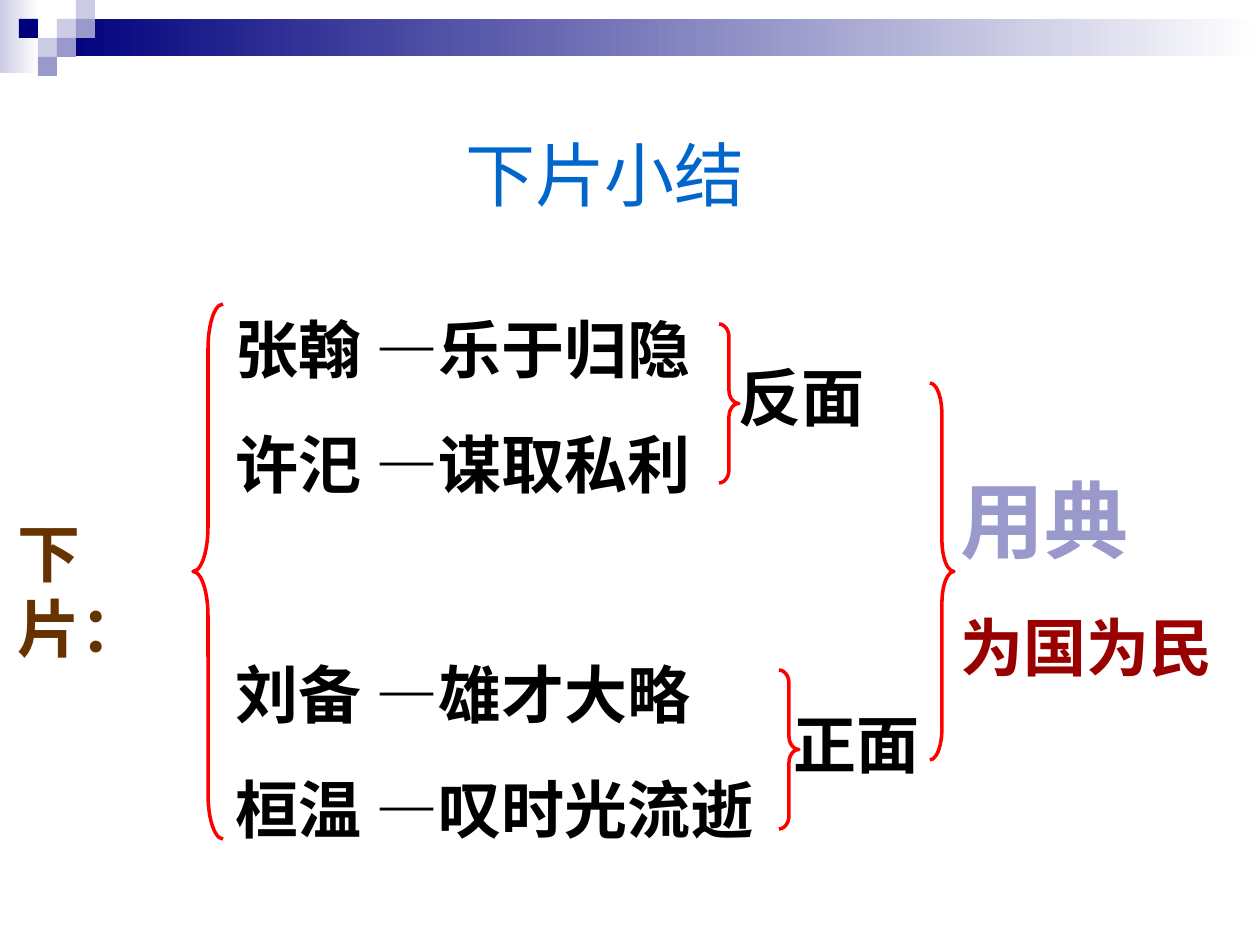
from lxml import etree
from pptx import Presentation
from pptx.dml.color import RGBColor
from pptx.enum.shapes import MSO_SHAPE
from pptx.enum.text import PP_ALIGN
from pptx.oxml.ns import qn
from pptx.util import Emu, Pt

RECT = MSO_SHAPE.RECTANGLE
LEFT_BRACE = MSO_SHAPE.LEFT_BRACE
RIGHT_BRACE = MSO_SHAPE.RIGHT_BRACE
LEFT, CENTER = PP_ALIGN.LEFT, PP_ALIGN.CENTER
PX = 914400 // 126
SANS, SANS_JP, SERIF, ARIAL = "Noto Sans CJK SC", "Noto Sans CJK JP", "Times New Roman", "Arial"
EAST_ASIAN = {SANS: SANS, SANS_JP: SANS_JP, SERIF: SANS, ARIAL: SANS}

COLORS = {
    "navy": "00007D", "lilac": "9999CC", "pale": "CCCCE6", "white": "FFFFFF",
    "blue": "0066CC", "brown": "663300", "black": "000000", "maroon": "990000",
    "red": "FF0000",
}

BANDS = [((0, 0, 39, 73), "pale"), ((57, 19, 1203, 37), "navy")]
TILE = 19
TILES = [
    (3, 1, "pale"), (4, 0, "pale"), (4, 1, "lilac"), (2, 2, "pale"),
    (1, 1, "navy"), (3, 2, "lilac"), (2, 3, "lilac"),
]

BRACES = [
    (LEFT_BRACE, (193, 304, 30, 535), 1.48),
    (RIGHT_BRACE, (930, 383, 24, 377), 1.32),
    (RIGHT_BRACE, (719, 324, 20, 159), 0.66),
    (RIGHT_BRACE, (779, 670, 20, 159), 0.66),
]

FIGURES = [
    ("张翰", "乐于归隐", 0), ("许汜", "谋取私利", 22.5),
    ("刘备", "雄才大略", 88.2), ("桓温", "叹时光流逝", 22.5),
]
FIGURE_LINES = [
    ([(name + " ", SANS), ("—", SERIF), (trait, SANS)], 36, "black", True, gap)
    for name, trait, gap in FIGURES
]
TEXTS = [
    ((441, 125, 328, 96), False, CENTER, [([("下片小结", SANS)], 40, "blue", False, 0)]),
    ((5, 508, 189, 139), True, LEFT, [([("下片：", SERIF)], 36, "brown", True, 0)]),
    ((223, 304, 645, 548), True, LEFT, FIGURE_LINES),
    ((948, 462, 282, 229), True, LEFT, [
        ([("用典", SANS_JP)], 48, "lilac", True, 0),
        ([("为国为民", SANS_JP)], 36, "maroon", True, 22.5),
    ]),
    ((781, 699, 151, 88), False, LEFT, [([("正面", ARIAL)], 36, "black", True, 0)]),
    ((726, 352, 151, 88), False, LEFT, [([("反面", ARIAL)], 36, "black", True, 0)]),
]


def color(name):
    return RGBColor.from_string(COLORS[name])


def scaled(frame):
    return [Emu(value * PX) for value in frame]


def add_plain(page, kind, frame):
    shape = page.shapes.add_shape(kind, *scaled(frame))
    shape.shadow.inherit = False
    return shape


def add_block(page, frame, fill, fades=False):
    shape = add_plain(page, RECT, frame)
    shape.line.fill.background()
    if fades:
        shape.fill.gradient()
        shape.fill.gradient_angle = 0
        for stop, name in zip(shape.fill.gradient_stops, (fill, "white")):
            stop.color.rgb = color(name)
    else:
        shape.fill.solid()
        shape.fill.fore_color.rgb = color(fill)


def add_brace(page, kind, frame, curve):
    brace = add_plain(page, kind, frame)
    brace.adjustments[0] = curve
    brace.fill.background()
    brace.line.color.rgb = color("red")
    brace.line.width = Pt(2)


def set_typeface(font, properties, name):
    font.name = name
    east_asian = etree.Element(qn("a:ea"), typeface=EAST_ASIAN[name])
    properties.find(qn("a:latin")).addnext(east_asian)


def add_text(page, frame, wraps, align, lines):
    box = page.shapes.add_textbox(*scaled(frame))
    text = box.text_frame
    text.word_wrap = wraps
    for index, (spans, size, tint, bold, gap) in enumerate(lines):
        para = text.add_paragraph() if index else text.paragraphs[0]
        para.alignment = align
        para._p.pPr.set("hangingPunct", "0")
        para.line_spacing = Pt(size * 1.2)
        if gap:
            para.space_before = Pt(gap)
        font = para.font
        font.size = Pt(size)
        font.bold = bold
        font.color.rgb = color(tint)
        if len(spans) == 1:
            defaults = para._p.pPr.find(qn("a:defRPr"))
            set_typeface(font, defaults, spans[0][1])
        for words, typeface in spans:
            span = para.add_run()
            span.text = words
            if len(spans) > 1:
                set_typeface(span.font, span._r.get_or_add_rPr(), typeface)


def main():
    deck = Presentation()
    deck.slide_width, deck.slide_height = Emu(1260 * PX), Emu(945 * PX)
    page = deck.slides.add_slide(deck.slide_layouts[6])
    for frame, fill in BANDS:
        add_block(page, frame, fill, fades=True)
    for column, row, fill in TILES:
        add_block(page, (column * TILE, row * TILE, TILE, TILE), fill)
    for kind, frame, curve in BRACES:
        add_brace(page, kind, frame, curve)
    for frame, wraps, align, lines in TEXTS:
        add_text(page, frame, wraps, align, lines)
    deck.save("out.pptx")


if __name__ == "__main__":
    main()
